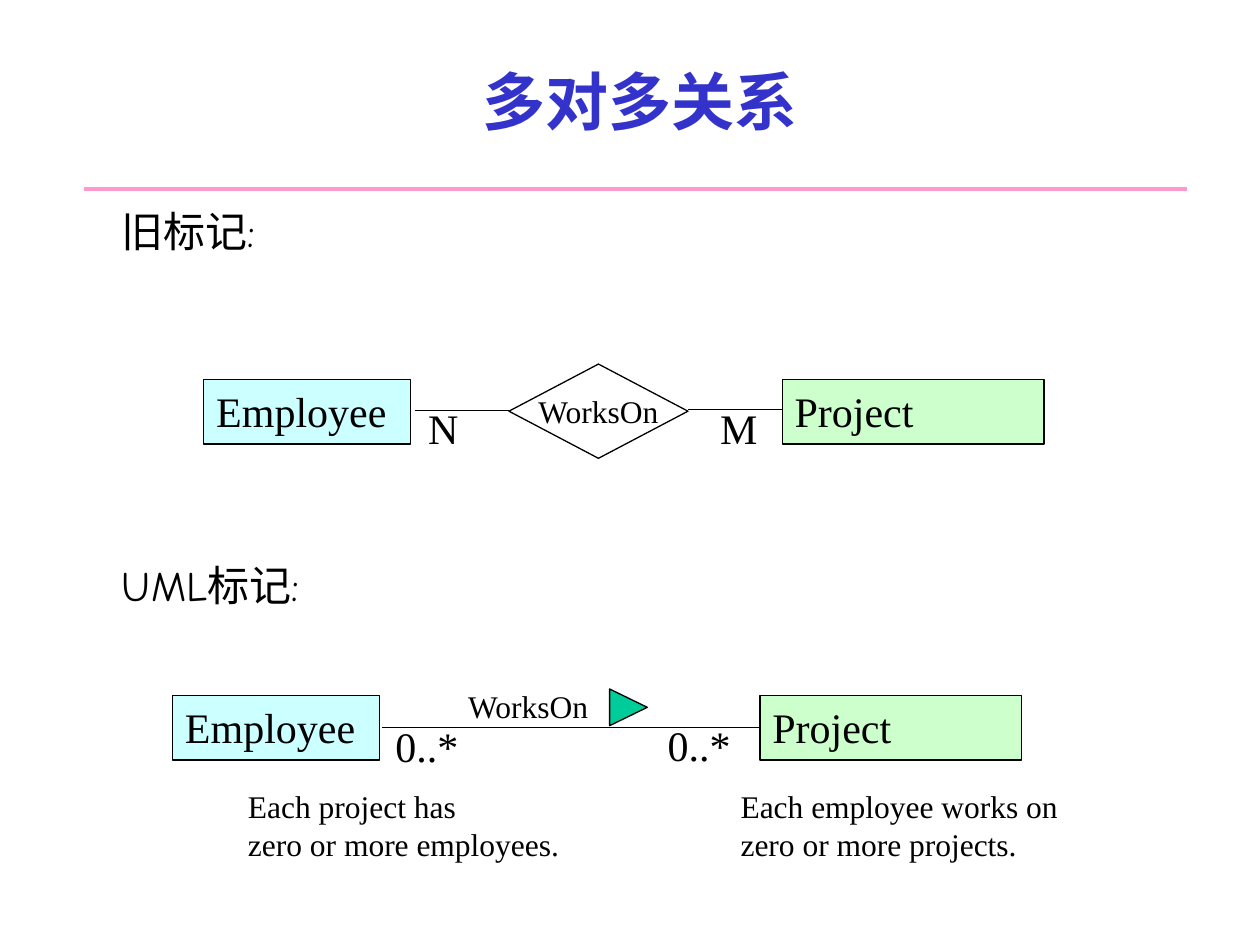
"""Build a slide that compares two notations for a many-to-many relationship."""
from dataclasses import dataclass

from lxml import etree
from pptx import Presentation
from pptx.dml.color import RGBColor
from pptx.enum.shapes import MSO_CONNECTOR, MSO_SHAPE
from pptx.enum.text import MSO_ANCHOR, PP_ALIGN
from pptx.oxml.ns import qn
from pptx.util import Cm, Pt

RECTANGLE, DIAMOND = MSO_SHAPE.RECTANGLE, MSO_SHAPE.DIAMOND
STRAIGHT = MSO_CONNECTOR.STRAIGHT
TOP, MIDDLE = MSO_ANCHOR.TOP, MSO_ANCHOR.MIDDLE
LEFT, CENTER = PP_ALIGN.LEFT, PP_ALIGN.CENTER
SERIF, HAND, CJK = "Times New Roman", "Comic Neue", "Noto Sans CJK SC"
BLACK, BLUE, PINK = "000000", "3333CC", "FF99CC"
CYAN, GREEN, TEAL = "CCFFFF", "CCFFCC", "00CC99"
EMPLOYEE_WIDTH, PROJECT_WIDTH, ENTITY_HEIGHT = 4.17, 5.28, 1.3


@dataclass(frozen=True)
class Style:
    """Look of a text."""
    size: int = 24
    font: str = SERIF
    color: str = BLACK
    bold: bool = False
    align: PP_ALIGN = LEFT
    anchor: MSO_ANCHOR = TOP
    wrap: bool = False


@dataclass(frozen=True)
class Label:
    """A text at a place, in centimetres."""
    lines: tuple[str, ...]
    left: float
    top: float
    width: float
    height: float
    style: Style = Style()


@dataclass(frozen=True)
class Node:
    """A label inside an outlined preset shape."""
    label: Label
    outline: MSO_SHAPE
    fill: str | None = None


@dataclass(frozen=True)
class Line:
    """A horizontal line, in centimetres."""
    start: float
    end: float
    y: float
    color: str = BLACK
    weight: float = 0.75


WRAPPED = Style(wrap=True)
SMALL = Style(size=18)
SMALL_WRAPPED = Style(size=18, wrap=True)
CENTERED = Style(size=18, align=CENTER, anchor=MIDDLE)
TITLE = Style(36, CJK, BLUE, True, CENTER, MIDDLE, True)
HEADING = Style(font=HAND, wrap=True)


def rgb(color: str) -> RGBColor:
    """Turn a hex string into a colour."""
    return RGBColor.from_string(color)


def write(shape, label: Label) -> None:
    """Put the lines of a label into a shape."""
    style, frame = label.style, shape.text_frame
    frame.word_wrap, frame.vertical_anchor = style.wrap, style.anchor
    font_values = {"size": Pt(style.size), "name": style.font, "bold": style.bold}
    for index, text in enumerate(label.lines):
        paragraph = frame.add_paragraph() if index else frame.paragraphs[0]
        paragraph.alignment = style.align
        run = paragraph.add_run()
        run.text = text
        for name, value in font_values.items():
            setattr(run.font, name, value)
        run.font.color.rgb = rgb(style.color)
        latin = run.font._element.find(qn("a:latin"))
        east_asian = etree.Element(qn("a:ea"), typeface=CJK)
        latin.addnext(east_asian)


def paint(shape, fill: str | None) -> None:
    """Give a shape its fill and thin black outline."""
    shape.shadow.inherit = False
    if fill:
        shape.fill.solid()
        shape.fill.fore_color.rgb = rgb(fill)
    else:
        shape.fill.background()
    shape.line.color.rgb = rgb(BLACK)
    shape.line.width = Pt(0.75)


def box(label: Label) -> tuple[Cm, ...]:
    """Give the place and size of a label as lengths."""
    return tuple(map(Cm, (label.left, label.top, label.width, label.height)))


def draw_label(slide, label: Label) -> None:
    """Draw a text without an outline."""
    write(slide.shapes.add_textbox(*box(label)), label)


def draw_node(slide, node: Node) -> None:
    """Draw an entity or a relationship."""
    shape = slide.shapes.add_shape(node.outline, *box(node.label))
    paint(shape, node.fill)
    write(shape, node.label)


def draw_line(slide, line: Line) -> None:
    """Draw a horizontal line without a shadow."""
    connector = slide.shapes.add_connector(
        STRAIGHT, Cm(line.start), Cm(line.y), Cm(line.end), Cm(line.y))
    connector.line.color.rgb = rgb(line.color)
    connector.line.width = Pt(line.weight)
    etree.SubElement(connector._element.spPr, qn("a:effectLst"))


def draw_direction(slide, left: float, top: float, width: float, height: float) -> None:
    """Draw the triangle that shows the reading direction."""
    builder = slide.shapes.build_freeform(Cm(left), Cm(top))
    builder.add_line_segments([(Cm(left + width), Cm(top + height / 2)),
                               (Cm(left), Cm(top + height))], close=True)
    paint(builder.convert_to_shape(), TEAL)


def entities(employee_left: float, project_left: float, top: float) -> list[Node]:
    """Give the two entities of one notation."""
    return [
        Node(Label(("Employee",), employee_left, top, EMPLOYEE_WIDTH, ENTITY_HEIGHT),
             RECTANGLE, CYAN),
        Node(Label(("Project",), project_left, top, PROJECT_WIDTH, ENTITY_HEIGHT, WRAPPED),
             RECTANGLE, GREEN),
    ]


LINES = [
    Line(1.7, 23.93, 3.81, PINK, 2),
    Line(8.36, 10.26, 8.28),
    Line(13.87, 15.77, 8.26),
    Line(7.7, 15.32, 14.66),
]
NODES = [
    *entities(4.11, 15.77, 7.65),
    Node(Label(("WorksOn",), 10.26, 7.34, 3.61, 1.9, CENTERED), DIAMOND),
    *entities(3.48, 15.32, 14.02),
]
LABELS = [
    Label(("多对多关系",), 2.11, 0.43, 21.59, 3.18, TITLE),
    Label(("旧标记:",), 2.21, 4.01, 8, 1.4, HEADING),
    Label(("UML标记:",), 2.21, 11.15, 8, 1.4, HEADING),
    Label(("N",), 8.38, 7.98, 1.12, 1.27),
    Label(("M",), 14.27, 7.98, 1.27, 1.27),
    Label(("WorksOn",), 9.19, 13.72, 3.23, 1.02, SMALL_WRAPPED),
    Label(("0..*",), 7.72, 14.4, 1.78, 1.27),
    Label(("0..*",), 13.21, 14.38, 1.78, 1.27),
    Label(("Each project has", "zero or more employees."), 4.75, 15.75, 6.78, 1.78, SMALL),
    Label(("Each employee works on", "zero or more projects."),
          14.68, 15.75, 6.91, 1.78, SMALL),
]


def main() -> None:
    """Build and save the slide."""
    deck = Presentation()
    deck.slide_width, deck.slide_height = Cm(25.4), Cm(19.05)
    slide = deck.slides.add_slide(deck.slide_layouts[6])
    for line in LINES:
        draw_line(slide, line)
    for node in NODES:
        draw_node(slide, node)
    draw_direction(slide, 12.29, 13.89, 0.76, 0.74)
    for label in LABELS:
        draw_label(slide, label)
    deck.save("out.pptx")


if __name__ == "__main__":
    main()
